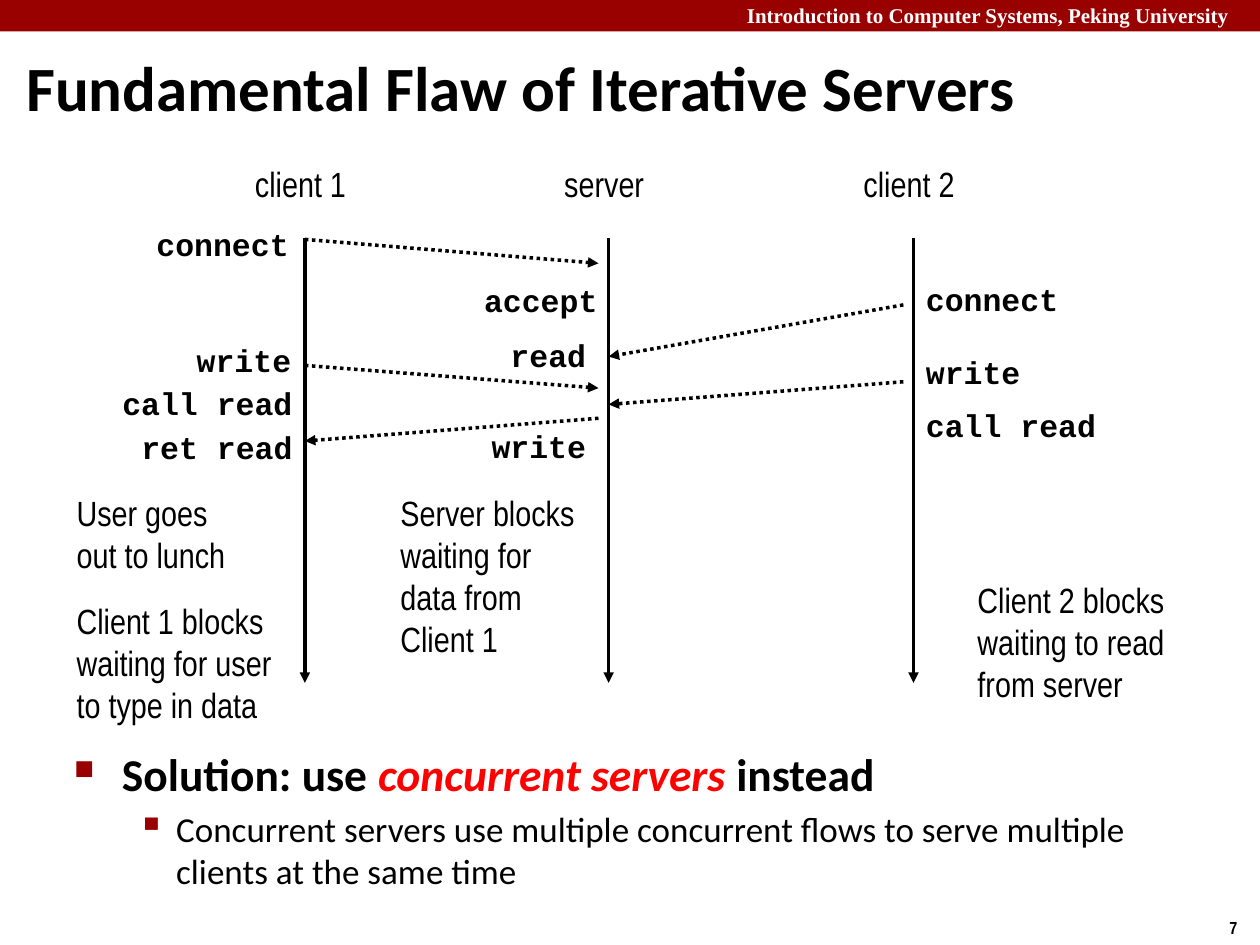
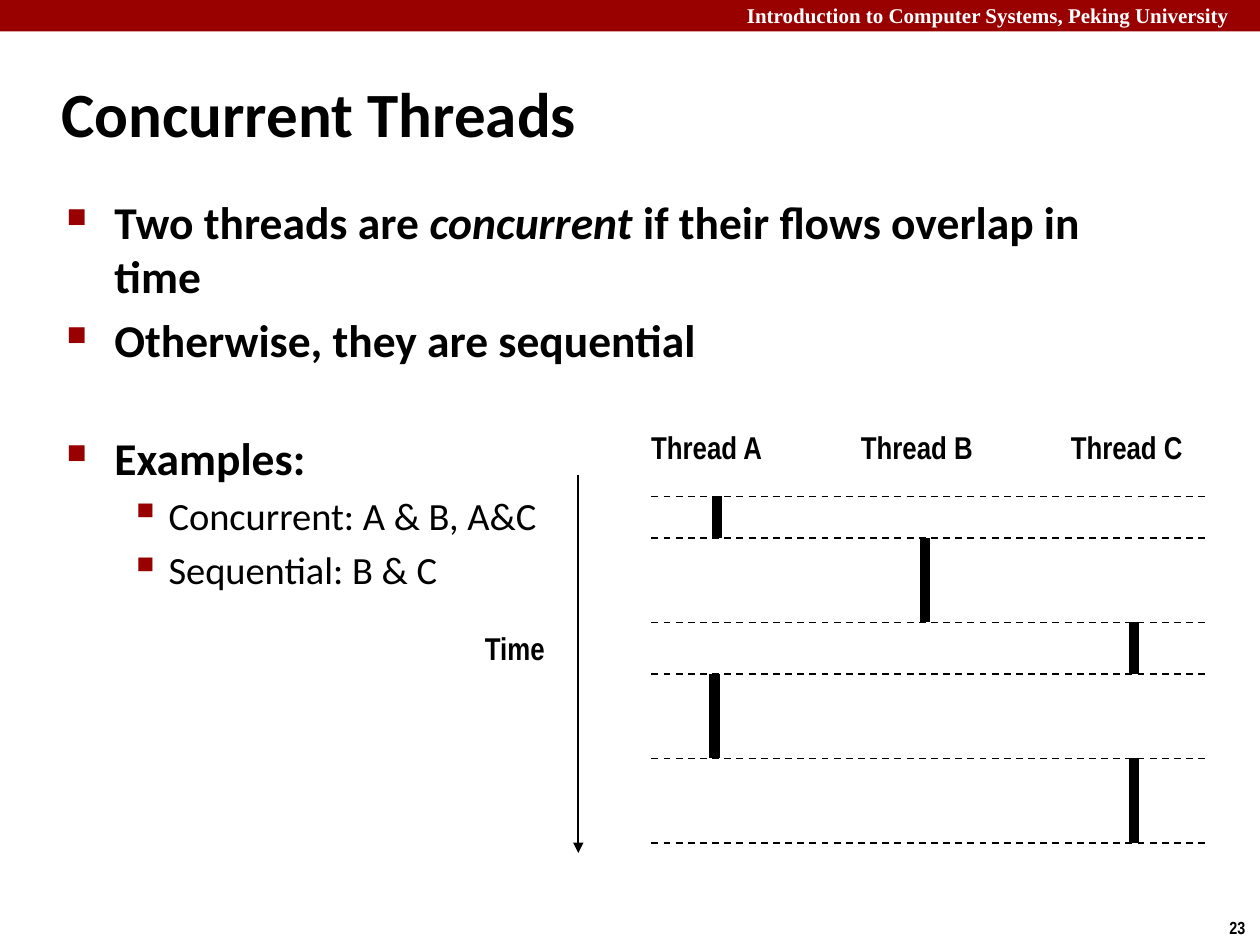
from lxml import etree
from pptx import Presentation
from pptx.dml.color import RGBColor
from pptx.enum import dml, shapes, text
from pptx.oxml import ns
from pptx.util import Inches, Pt

MAROON = RGBColor(0x99, 0x00, 0x00)
RED = RGBColor(0xFF, 0x00, 0x00)
BLACK = RGBColor(0, 0, 0)
WHITE = RGBColor(0xFF, 0xFF, 0xFF)
HEADING_FONT, LABEL_FONT, CODE_FONT = "Calibri", "Arial Narrow", "Courier New"
COURSE = "Introduction to Computer Systems, Peking University"
BULLETS = (
    {"char": "■", "percent": 60, "margin": 0.38, "hang": 0.38, "bold": True},
    {"char": "▪", "percent": 110, "margin": 0.81, "hang": 0.31, "bold": False},
)
DOTS, DASHES = dml.MSO_LINE.ROUND_DOT, dml.MSO_LINE.DASH
CLIENT_1, SERVER, CLIENT_2 = 2.42, 4.83, 7.25


def style(para, font, size, bold=False, color=BLACK):
    para.font.name = font
    para.font.size = Pt(size)
    para.font.bold = bold
    para.font.color.rgb = color


def add_box(page, left, top, width, height, wrap=True, fit=False):
    box = page.shapes.add_textbox(Inches(left), Inches(top), Inches(width), Inches(height))
    frame = box.text_frame
    frame.word_wrap = wrap
    frame.auto_size = text.MSO_AUTO_SIZE.SHAPE_TO_FIT_TEXT if fit else text.MSO_AUTO_SIZE.NONE
    return frame


def add_paragraph(frame, first):
    return frame.paragraphs[0] if first else frame.add_paragraph()


def add_label(page, lines, left, top, width, height=0.4, font=LABEL_FONT, size=20,
              bold=False, color=BLACK, wrap=False, align=text.PP_ALIGN.LEFT):
    frame = add_box(page, left, top, width, height, wrap, fit=True)
    for index, line in enumerate(lines):
        para = add_paragraph(frame, index == 0)
        para.text = line
        para.alignment = align
        style(para, font, size, bold, color)
    return frame


def add_call(page, name, edge, top, before_edge=False):
    width = 0.15 * len(name) + 0.21
    left = edge - width if before_edge else edge
    align = text.PP_ALIGN.RIGHT if before_edge else text.PP_ALIGN.LEFT
    add_label(page, [name], left, top, width, font=CODE_FONT, size=18, bold=True, align=align)


def add_line(page, start, end, width, dash=None, arrow=False):
    line = page.shapes.add_connector(
        shapes.MSO_CONNECTOR.STRAIGHT, *(Inches(value) for value in (*start, *end)))
    line.line.color.rgb = BLACK
    line.line.width = Pt(width)
    if dash:
        line.line.dash_style = dash
    properties = line._element.spPr
    if arrow:
        outline = properties.find(ns.qn("a:ln"))
        etree.SubElement(outline, ns.qn("a:tailEnd"), type="triangle")
    etree.SubElement(properties, ns.qn("a:effectLst"))


def add_bullet(para, level):
    bullet = BULLETS[level]
    properties = para._p.get_or_add_pPr()
    properties.set("marL", str(Inches(bullet["margin"])))
    properties.set("indent", str(-Inches(bullet["hang"])))
    color = etree.SubElement(properties, ns.qn("a:buClr"))
    etree.SubElement(color, ns.qn("a:srgbClr"), val=str(MAROON))
    etree.SubElement(properties, ns.qn("a:buSzPct"), val=str(bullet["percent"] * 1000))
    etree.SubElement(properties, ns.qn("a:buChar"), char=bullet["char"])


def add_body(page, area, items, emphasis=None):
    frame = add_box(page, *area)
    for index, (level, size, gap, spans) in enumerate(items):
        para = add_paragraph(frame, index == 0)
        para.level = level
        add_bullet(para, level)
        if index:
            para.space_before = Pt(gap)
        style(para, HEADING_FONT, size, BULLETS[level]["bold"])
        for position, words in enumerate(spans):
            span = para.add_run()
            span.text = words
            if position % 2:
                span.font.italic = True
                if emphasis:
                    span.font.color.rgb = emphasis


def add_page(deck, title, title_area, number):
    page = deck.slides.add_slide(deck.slide_layouts[6])
    band = page.shapes.add_shape(
        shapes.MSO_SHAPE.RECTANGLE, 0, 0, deck.slide_width, Inches(0.25))
    band.fill.solid()
    band.fill.fore_color.rgb = MAROON
    band.line.fill.background()
    band.shadow.inherit = False
    add_label(page, [COURSE], 5.83, -0.03, 4.24, 0.3, "Times New Roman", 12,
              bold=True, color=WHITE, wrap=True)
    add_label(page, [str(number)], 9.66, 7.23, 0.34, 0.27, size=10, bold=True)
    frame = add_box(page, *title_area)
    frame.vertical_anchor = text.MSO_ANCHOR.MIDDLE
    frame.text = title
    style(frame.paragraphs[0], HEADING_FONT, 36, bold=True)
    return page


def build_flaw_page(deck):
    page = add_page(deck, "Fundamental Flaw of Iterative Servers", (0.11, 0.37, 9.83, 0.63), 7)
    add_body(page, (0.49, 5.87, 9.26, 1.26), [
        (0, 26, 0, ["Solution: use ", "concurrent servers ", "instead"]),
        (1, 20, 4, ["Concurrent servers use multiple concurrent flows to serve "
                    "multiple clients at the same time"]),
    ], emphasis=RED)

    for name, x, width in (("client 1", CLIENT_1, 0.93), ("server", SERVER, 0.84),
                           ("client 2", CLIENT_2, 0.93)):
        add_label(page, [name], x - 0.03 - width / 2, 1.24, width, 0.44)
        add_line(page, (x, 1.89), (x, 5.42), 2, arrow=True)

    messages = (
        (CLIENT_1, 1.9, SERVER - 0.08, 2.09),
        (CLIENT_2 - 0.08, 2.42, SERVER, 2.83),
        (CLIENT_1, 2.9, SERVER - 0.08, 3.08),
        (CLIENT_2 - 0.08, 3.03, SERVER, 3.21),
        (SERVER - 0.08, 3.32, CLIENT_1, 3.5),
    )
    for x1, y1, x2, y2 in messages:
        add_line(page, (x1, y1), (x2, y2), 2, DOTS, arrow=True)

    for name, right, top in (("connect", 2.39, 1.74), ("write", 2.41, 2.66),
                             ("call read", CLIENT_1, 3), ("ret read", CLIENT_1, 3.35),
                             ("accept", 4.84, 2.18), ("read", 4.75, 2.62),
                             ("write", 4.75, 3.34)):
        add_call(page, name, right, top, before_edge=True)
    for name, top in (("connect", 2.17), ("write", 2.75), ("call read", 3.17)):
        add_call(page, name, CLIENT_2, top)

    waiting = add_label(page, ["User goes", "out to lunch", "Client 1 blocks",
                               "waiting for user", "to type in data"], 0.51, 3.85, 1.76, 2.02)
    waiting.paragraphs[2].space_before = Pt(14)
    add_label(page, ["Server blocks", "waiting for", "data from", "Client 1"],
              3.08, 3.85, 1.6, 1.45)
    add_label(page, ["Client 2 blocks", "waiting to read", "from server"],
              7.66, 4.54, 1.7, 1.11)


def build_threads_page(deck):
    page = add_page(deck, "Concurrent Threads", (0.39, 0.48, 8.3, 0.83), 23)
    add_body(page, (0.43, 1.49, 8.64, 5.44), [
        (0, 26, 0, ["Two threads are ", "concurrent", " if their flows overlap in time"]),
        (0, 26, 5.2, ["Otherwise, they are sequential"]),
        (0, 26, 36, ["Examples:"]),
        (1, 22, 4.4, ["Concurrent: A & B, A&C"]),
        (1, 22, 4.4, ["Sequential: B & C"]),
    ])
    add_line(page, (4.59, 3.77), (4.59, 6.77), 1, arrow=True)
    add_label(page, ["Time"], 3.75, 4.94, 0.68, size=18, bold=True)
    for index, letter in enumerate("ABC"):
        add_label(page, [f"Thread {letter}"], 5.07 + 1.665 * index, 3.35, 1.1,
                  size=18, bold=True)

    switches = (3.94, 4.27, 4.94, 5.35, 6.02, 6.69)
    running = (5.69, 7.34, 9, 5.67, 9)
    for x, start, end in zip(running, switches, switches[1:]):
        add_line(page, (x, start), (x, end), 6)
    for y in switches:
        add_line(page, (5.17, y), (9.59, y), 1, DASHES)


def main():
    deck = Presentation()
    deck.slide_width, deck.slide_height = Inches(10), Inches(7.5)
    build_flaw_page(deck)
    build_threads_page(deck)
    deck.save("out.pptx")


if __name__ == "__main__":
    main()
